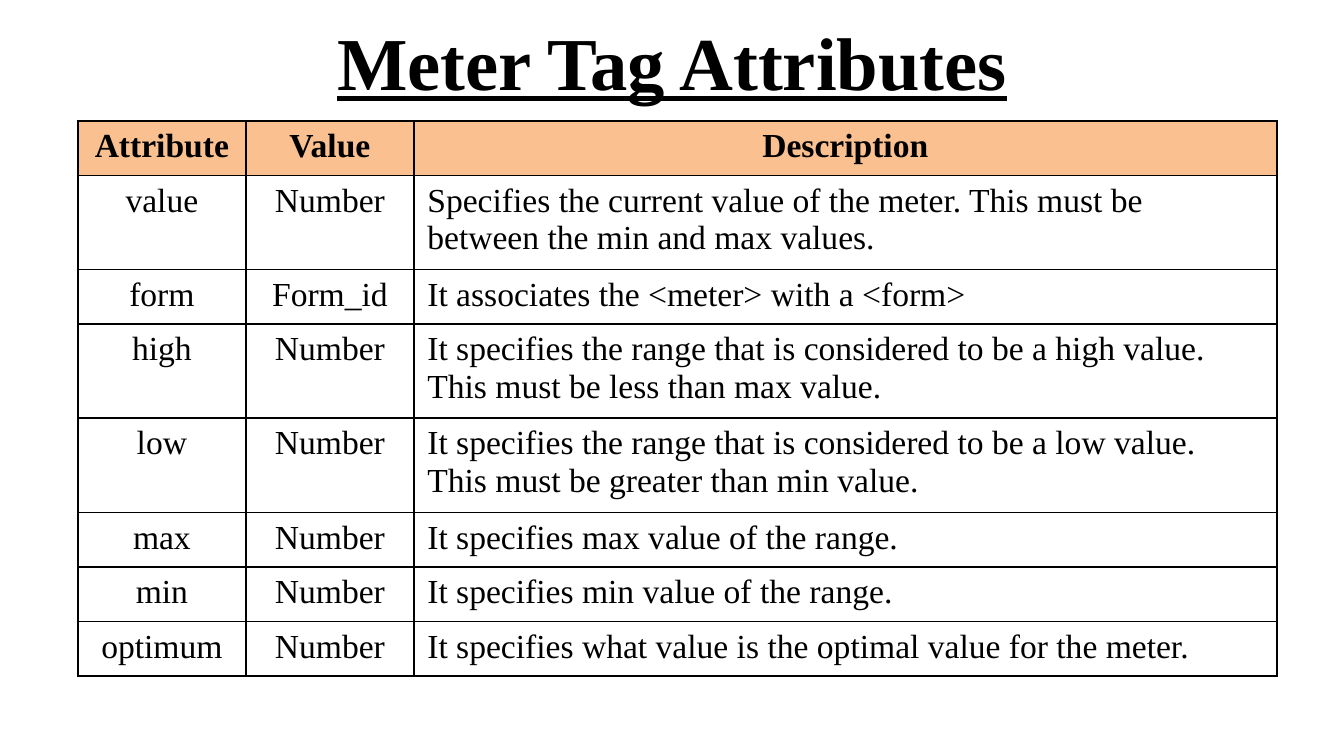
from lxml import etree
from pptx import Presentation
from pptx import util as u
from pptx.dml.color import RGBColor
from pptx.enum import text
from pptx.oxml import ns

WIDTH = u.Inches(10)
HEIGHT = WIDTH * 9 // 16
BLACK = RGBColor(0x00, 0x00, 0x00)
PEACH = RGBColor(0xFA, 0xC0, 0x90)
CENTER, LEFT = text.PP_ALIGN.CENTER, text.PP_ALIGN.LEFT

BODY = {"name": "Times New Roman", "size": u.Pt(18), "bold": False}
HEADER = {**BODY, "bold": True}
TITLE = {**HEADER, "size": u.Pt(40), "underline": True}

COLUMNS = [1.25, 1.25, 6.42]
ALIGNMENTS = [CENTER, CENTER, LEFT]
ROW_HEIGHT = u.Pt(29.2)
TABLE_HEIGHT = u.Inches(4.13)
ROWS = [
    ("Attribute", "Value", "Description"),
    ("value", "Number", "Specifies the current value of the meter. "
     "This must be between the min and max values. "),
    ("form", "Form_id", "It associates the <meter> with a <form>"),
    ("high", "Number", "It specifies the range that is considered to be "
     "a high value. This must be less than max value."),
    ("low", "Number", "It specifies the range that is considered to be "
     "a low value. This must be greater than min value."),
    ("max", "Number", "It specifies max value of the range."),
    ("min", "Number", "It specifies min value of the range."),
    ("optimum", "Number",
     "It specifies what value is the optimal value for the meter."),
]


def write(frame, words, formats, align):
    """Put one formatted paragraph into a text frame."""
    frame.word_wrap = True
    para = frame.paragraphs[0]
    para.alignment = align
    span = para.add_run()
    span.text = words
    for name, value in formats.items():
        setattr(span.font, name, value)
    span.font.color.rgb = BLACK


def add_title(page, words):
    """Add the centred, underlined heading."""
    box = page.shapes.add_textbox(
        int(WIDTH * 0.05), u.Inches(-0.02), int(WIDTH * 0.9), u.Inches(0.94))
    box.text_frame.vertical_anchor = text.MSO_ANCHOR.MIDDLE
    write(box.text_frame, words, TITLE, CENTER)


def add_borders(cell):
    """Draw a thin black line on all four sides of a cell."""
    properties = cell._tc.get_or_add_tcPr()
    for index, side in enumerate(("lnL", "lnR", "lnT", "lnB")):
        line = etree.Element(ns.qn("a:" + side), w=str(u.Pt(1)))
        fill = etree.SubElement(line, ns.qn("a:solidFill"))
        etree.SubElement(fill, ns.qn("a:srgbClr"), val=str(BLACK))
        properties.insert(index, line)


def add_attribute_table(page):
    """Add the grid of attributes with a tinted header row."""
    holder = page.shapes.add_table(
        len(ROWS), len(COLUMNS), u.Inches(0.58), u.Inches(0.9),
        u.Inches(sum(COLUMNS)), TABLE_HEIGHT)
    table = holder.table
    table.horz_banding = False
    for column, width in zip(table.columns, COLUMNS):
        column.width = u.Inches(width)
    for r, row in enumerate(ROWS):
        table.rows[r].height = ROW_HEIGHT
        for c, words in enumerate(row):
            cell = table.cell(r, c)
            if r == 0:
                cell.fill.solid()
                cell.fill.fore_color.rgb = PEACH
                write(cell.text_frame, words, HEADER, CENTER)
            else:
                cell.fill.background()
                write(cell.text_frame, words, BODY, ALIGNMENTS[c])
            add_borders(cell)
    holder.height = TABLE_HEIGHT


def main():
    """Build and save the slide."""
    deck = Presentation()
    deck.slide_width, deck.slide_height = WIDTH, HEIGHT
    page = deck.slides.add_slide(deck.slide_layouts[6])
    add_title(page, "Meter Tag Attributes")
    add_attribute_table(page)
    deck.save("out.pptx")


main()
